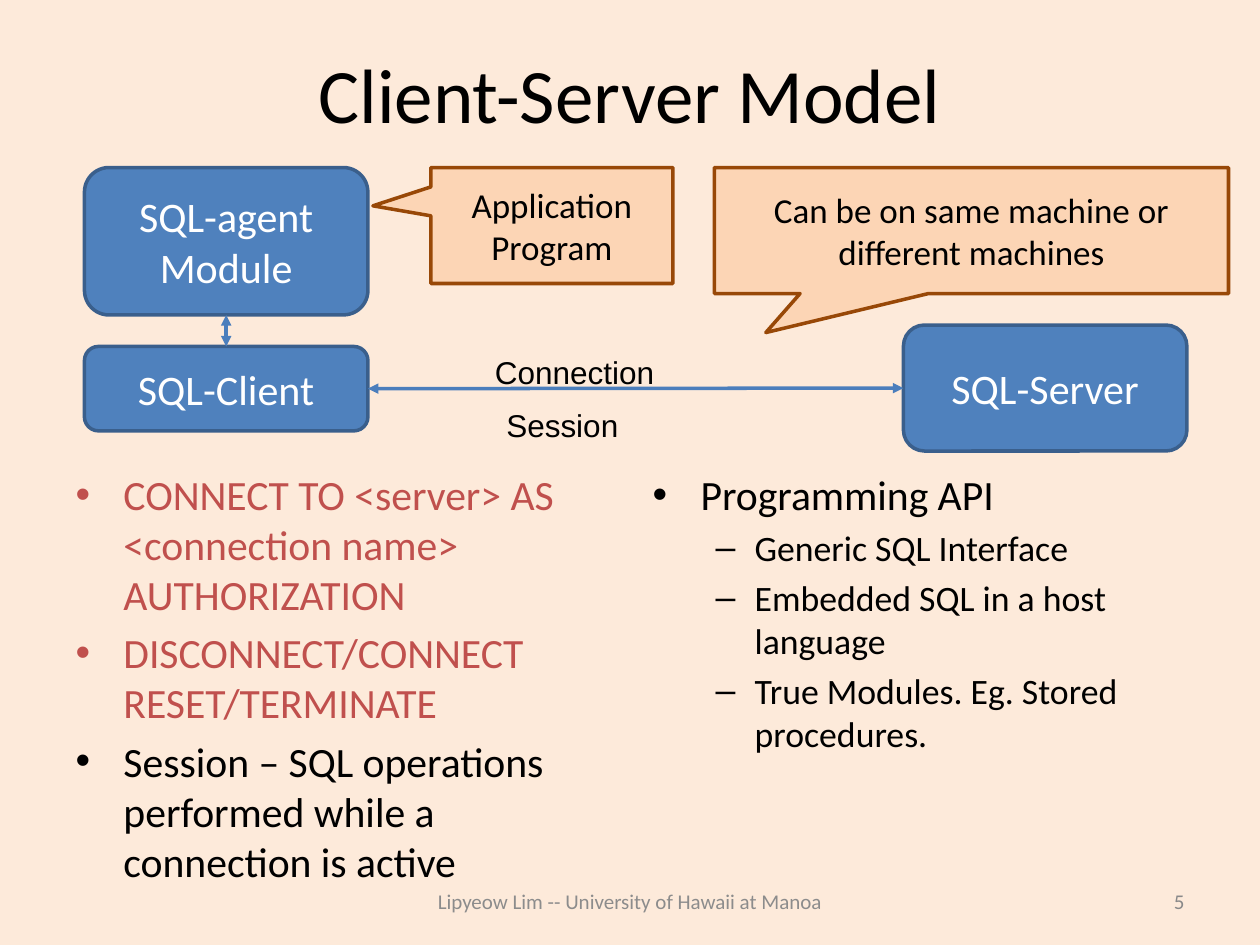
from dataclasses import dataclass

import lxml.etree
import pptx
import pptx.dml.color
import pptx.enum.shapes
import pptx.enum.text
import pptx.oxml.ns
import pptx.util
from pptx.util import Inches

SHAPE = pptx.enum.shapes.MSO_SHAPE
ALIGN = pptx.enum.text.PP_ALIGN
ANCHOR = pptx.enum.text.MSO_ANCHOR
AUTO_SIZE = pptx.enum.text.MSO_AUTO_SIZE
rgb = pptx.dml.color.RGBColor.from_string
qn = pptx.oxml.ns.qn


@dataclass(frozen=True)
class Theme:
    background: str = "FDEADA"
    text: str = "000000"
    command: str = "C0504D"
    footer: str = "8C8C8C"
    page_number: str = "898989"
    box_fill: str = "4F81BD"
    box_line: str = "3A5F8C"
    box_text: str = "FFFFFF"
    link: str = "4B7EBC"
    callout_fill: str = "FCD5B5"
    callout_line: str = "984807"
    font: str = "Calibri"
    label_font: str = "Arial"
    title_size: float = 44
    list_sizes: tuple = (23.8, 20.4)
    box_size: float = 24
    callout_size: float = 20
    label_size: float = 18
    footer_size: float = 12
    line_width: float = 2


theme = Theme()


def style_text(paragraph, size, color, alignment=None, font=theme.font):
    paragraph.alignment = alignment
    paragraph.font.name = font
    paragraph.font.size = pptx.util.Pt(size)
    paragraph.font.color.rgb = rgb(color)


def add_filled_shape(kind, place, text, fill, line, size, color):
    shape = slide.shapes.add_shape(kind, *map(Inches, place))
    shape.shadow.inherit = False
    shape.fill.solid()
    shape.fill.fore_color.rgb = rgb(fill)
    shape.line.color.rgb = rgb(line)
    shape.line.width = pptx.util.Pt(theme.line_width)
    shape.text_frame.word_wrap = True
    shape.text_frame.vertical_anchor = ANCHOR.MIDDLE
    shape.text_frame.text = text
    style_text(shape.text_frame.paragraphs[0], size, color, ALIGN.CENTER)
    return shape


presentation = pptx.Presentation()
presentation.slide_width = Inches(10)
presentation.slide_height = Inches(7.5)
slide = presentation.slides.add_slide(presentation.slide_layouts[3])
slide.background.fill.solid()
slide.background.fill.fore_color.rgb = rgb(theme.background)

# Title
title = slide.shapes.title
title.left, title.top, title.width, title.height = map(Inches, (0.5, 0.3, 9, 0.87))
title.text_frame.text = "Client-Server Model"
title.text_frame.vertical_anchor = ANCHOR.MIDDLE
title.text_frame.auto_size = AUTO_SIZE.NONE
style_text(title.text_frame.paragraphs[0], theme.title_size, theme.text, ALIGN.CENTER)

# Two bulleted lists: (level, text, color)
columns = [
    (0.5, [
        (0, "CONNECT TO <server> AS <connection name> AUTHORIZATION", theme.command),
        (0, "DISCONNECT/CONNECT RESET/TERMINATE", theme.command),
        (0, "Session – SQL operations performed while a connection is active", theme.text),
    ]),
    (5.08, [
        (0, "Programming API", theme.text),
        (1, "Generic SQL Interface", theme.text),
        (1, "Embedded SQL in a host language", theme.text),
        (1, "True Modules. Eg. Stored procedures.", theme.text),
    ]),
]
bullets = [("•", 0.38, -0.38), ("–", 0.81, -0.31)]
for index, (left, items) in enumerate(columns, start=1):
    body = slide.placeholders[index]
    body.left, body.top, body.width, body.height = map(Inches, (left, 3.67, 4.42, 3.03))
    frame = body.text_frame
    frame.auto_size = AUTO_SIZE.NONE
    for position, (level, text, color) in enumerate(items):
        paragraph = frame.add_paragraph() if position else frame.paragraphs[0]
        paragraph.text = text
        paragraph.level = level
        character, margin, indent = bullets[level]
        properties = paragraph._p.get_or_add_pPr()
        properties.set("marL", str(Inches(margin)))
        properties.set("indent", str(Inches(indent)))
        lxml.etree.SubElement(properties, qn("a:buChar"), char=character)
        style_text(paragraph, theme.list_sizes[level], color)
    frame.paragraphs[0].space_before = pptx.util.Pt(0)

# Footer and page number
for place, text, color, alignment in [
    ((3, 6.95, 4, 0.4), "Lipyeow Lim -- University of Hawaii at Manoa", theme.footer, ALIGN.CENTER),
    ((7.17, 6.95, 2.33, 0.4), "5", theme.page_number, ALIGN.RIGHT),
]:
    frame = slide.shapes.add_textbox(*map(Inches, place)).text_frame
    frame.word_wrap = True
    frame.vertical_anchor = ANCHOR.MIDDLE
    frame.text = text
    style_text(frame.paragraphs[0], theme.footer_size, color, alignment)

# Client and server boxes
server, client, agent = [
    add_filled_shape(SHAPE.ROUNDED_RECTANGLE, place, text, theme.box_fill,
                     theme.box_line, theme.box_size, theme.box_text)
    for place, text in [
        ((7.17, 2.58, 2.25, 1), "SQL-Server"),
        ((0.67, 2.75, 2.25, 0.67), "SQL-Client"),
        ((0.67, 1.33, 2.25, 1.17), "SQL-agent Module"),
    ]
]

# Two-way arrows between the boxes
for start, start_site, end, end_site in [(client, 3, server, 1), (client, 0, agent, 2)]:
    connector = slide.shapes.add_connector(
        pptx.enum.shapes.MSO_CONNECTOR.STRAIGHT, 0, 0, 0, 0)
    connector.begin_connect(start, start_site)
    connector.end_connect(end, end_site)
    connector.line.color.rgb = rgb(theme.link)
    connector.line.width = pptx.util.Pt(theme.line_width)
    line = connector.line._get_or_add_ln()
    for tag in ("a:headEnd", "a:tailEnd"):
        lxml.etree.SubElement(line, qn(tag), type="triangle")
    lxml.etree.SubElement(connector._element.spPr, qn("a:effectLst"))

# Labels on the connection
for place, text in [((3.83, 2.75, 1.48, 0.4), "Connection"),
                    ((3.92, 3.17, 1.1, 0.4), "Session")]:
    frame = slide.shapes.add_textbox(*map(Inches, place)).text_frame
    frame.word_wrap = False
    frame.auto_size = AUTO_SIZE.SHAPE_TO_FIT_TEXT
    frame.text = text
    style_text(frame.paragraphs[0], theme.label_size, theme.text, font=theme.label_font)

# Callouts, with the pointer tip relative to the box center
for place, text, tip in [
    ((3.42, 1.33, 1.92, 0.92), "Application Program", (-0.74, -0.17)),
    ((5.67, 1.33, 4.08, 1), "Can be on same machine or different machines", (-0.4, 0.81)),
]:
    callout = add_filled_shape(SHAPE.RECTANGULAR_CALLOUT, place, text, theme.callout_fill,
                               theme.callout_line, theme.callout_size, theme.text)
    callout.adjustments[0], callout.adjustments[1] = tip

presentation.save("out.pptx")
